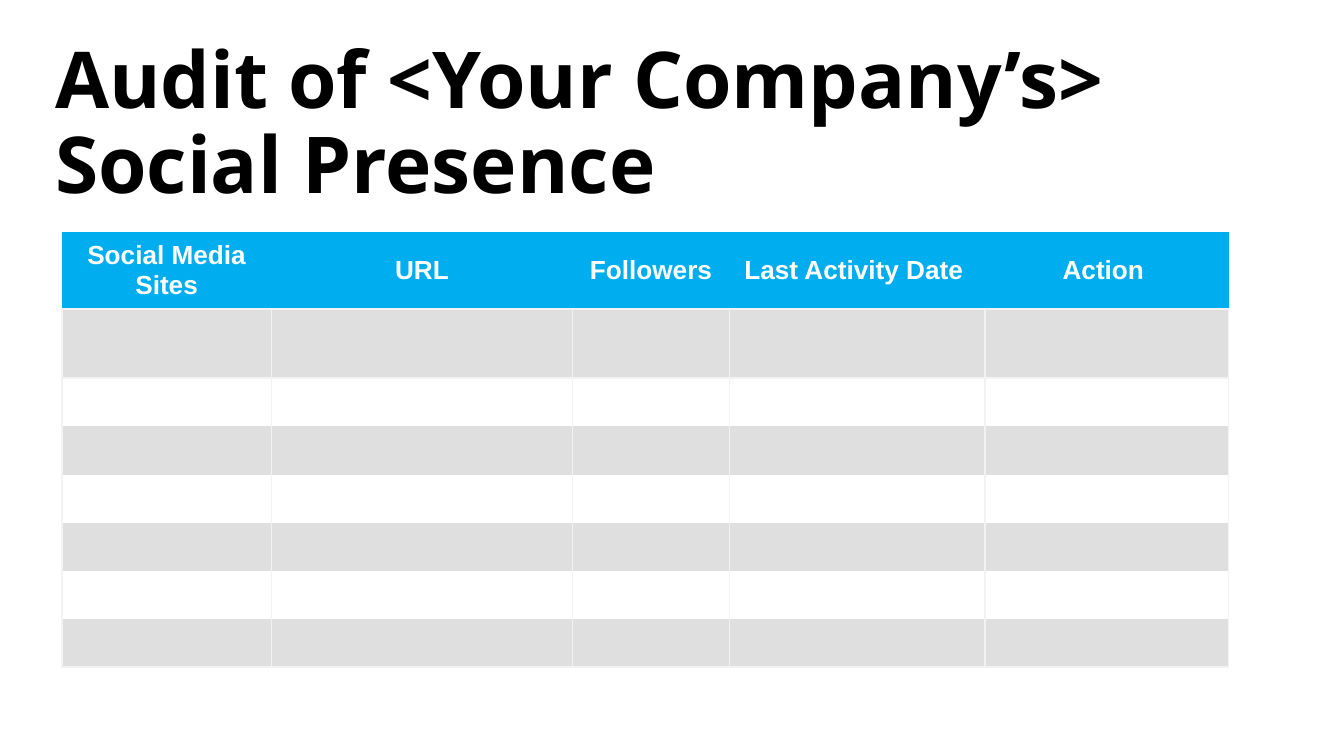
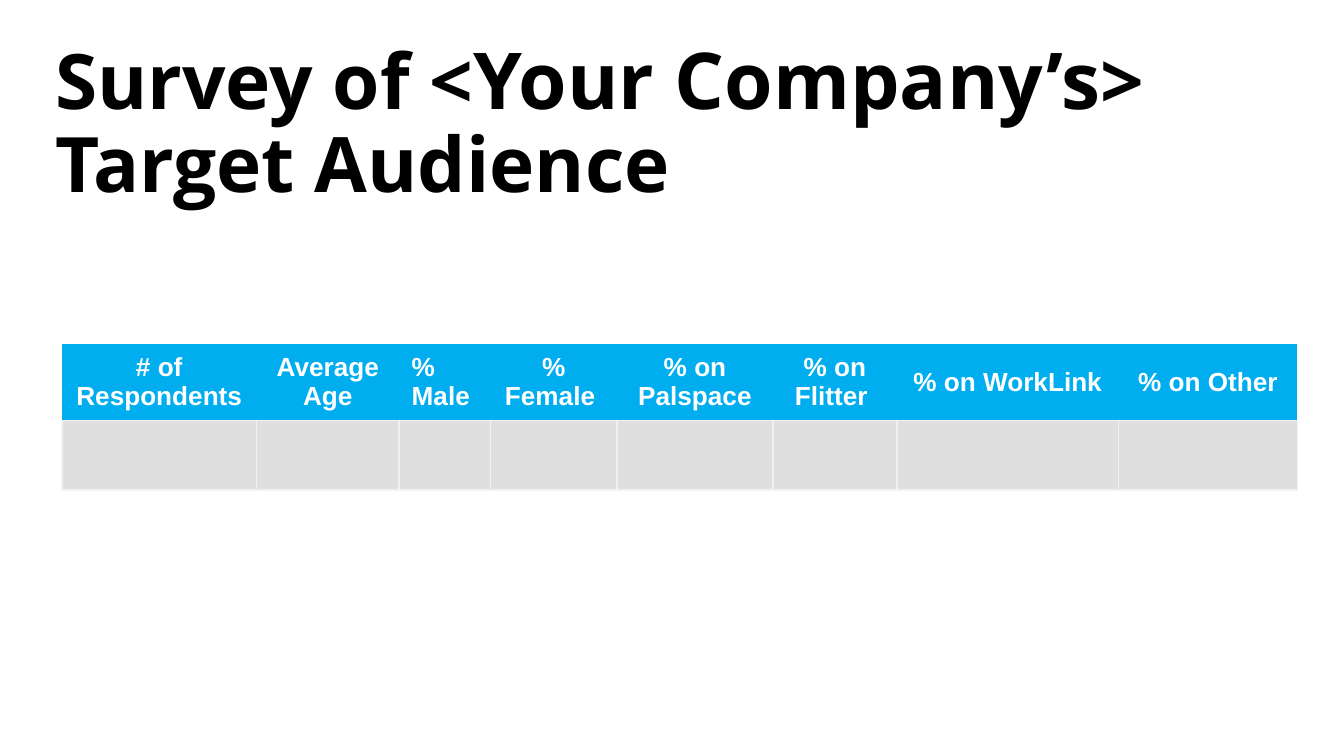
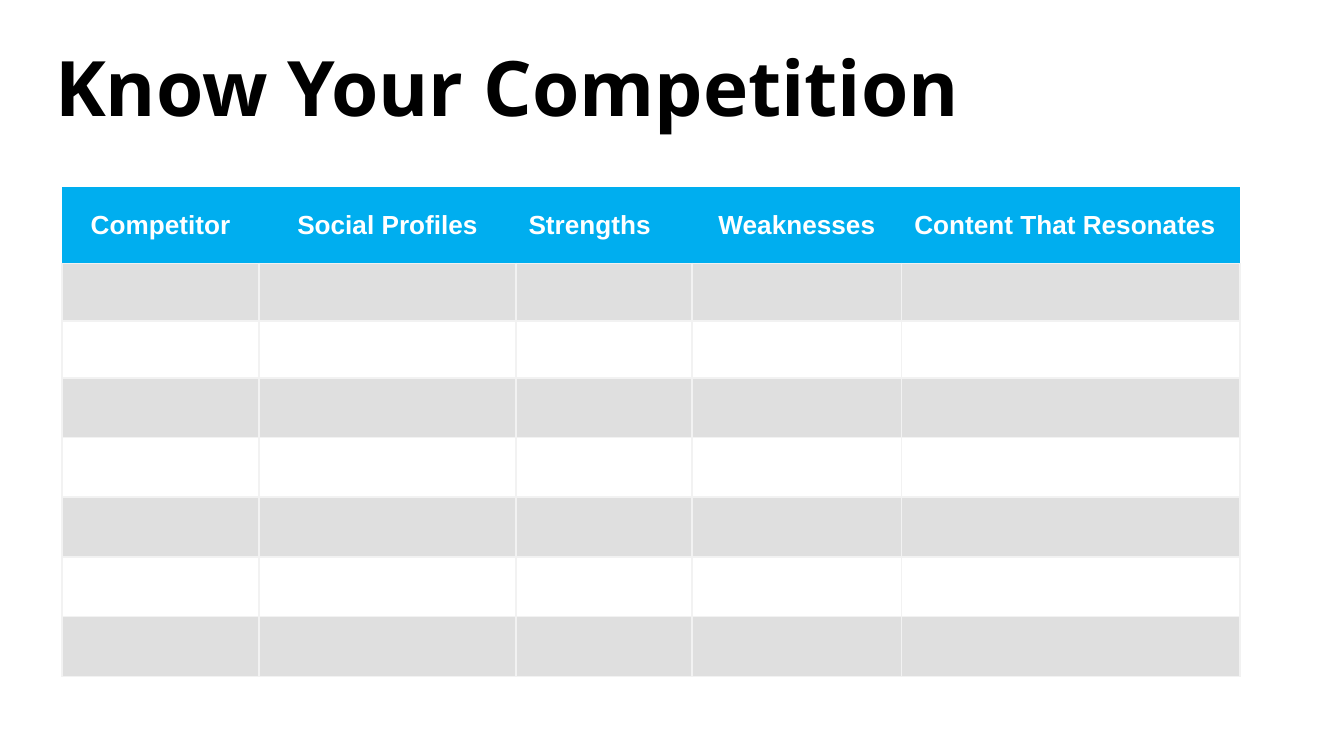
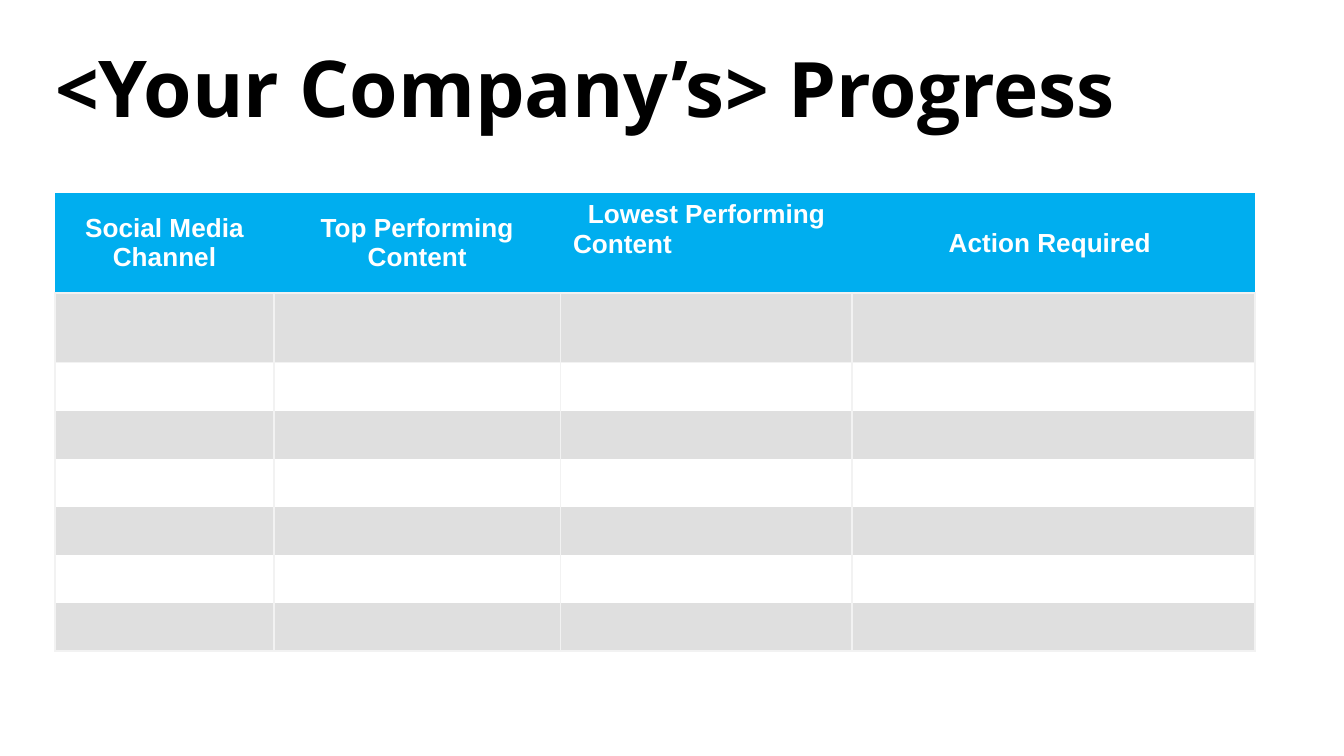
from dataclasses import dataclass

from lxml import etree
from pptx import Presentation
from pptx import util as u
from pptx.dml.color import RGBColor
from pptx.enum import text
from pptx.oxml import ns


@dataclass(frozen=True)
class Theme:
    header: RGBColor = RGBColor(0x00, 0xAE, 0xEF)
    band: RGBColor = RGBColor(0xDF, 0xDF, 0xDF)
    plain: RGBColor = RGBColor(0xFF, 0xFF, 0xFF)
    rule: RGBColor = RGBColor(0xF2, 0xF2, 0xF2)
    ink: RGBColor = RGBColor(0x00, 0x00, 0x00)
    title_font: str = "Open Sans"
    table_font: str = "Arial"
    title_size: int = 41
    emphasis_size: int = 42
    table_size: int = 14
    rule_width: int = 1
    table_style: str = "{2D5ABB26-0587-4C30-8999-92F81FD0307C}"  # no style, no grid


THEME = Theme()
LEFT, CENTER = text.PP_ALIGN.LEFT, text.PP_ALIGN.CENTER
TITLE_LEFT, TITLE_WIDTH, TITLE_HEIGHT = 1.04, 23.44, 1.65
TITLE_HIGH, TITLE_LOW = 0.91, 1.55
TABLE_LEFT = 1.17
HEADER_ROW, FIRST_ROW, BODY_ROW = 1.45, 1.31, 0.91


def add_span(para, words, font, size, color):
    span = para.add_run()
    span.text = words
    span.font.name = font
    span.font.size = u.Pt(size)
    span.font.bold = True
    span.font.color.rgb = color


def add_titled_page(deck, top, *spans):
    """Each span is a pair of words and type size."""
    page = deck.slides.add_slide(deck.slide_layouts[5])
    box = page.shapes.title
    box.left, box.top = u.Cm(TITLE_LEFT), u.Cm(top)
    box.width, box.height = u.Cm(TITLE_WIDTH), u.Cm(TITLE_HEIGHT)
    frame = box.text_frame
    frame.word_wrap = True
    frame.auto_size = text.MSO_AUTO_SIZE.NONE
    frame.vertical_anchor = text.MSO_ANCHOR.MIDDLE
    frame.margin_left = frame.margin_right = 0
    frame.margin_top = frame.margin_bottom = u.Cm(0.25)
    para = frame.paragraphs[0]
    para.alignment = LEFT
    para.line_spacing = 0.9
    for words, size in spans:
        add_span(para, words, THEME.title_font, size, THEME.ink)
    return page


def set_borders(cell, sides):
    """Draw the sides named by letters L, R, T and B, in that order."""
    properties = cell._tc.get_or_add_tcPr()
    for position, side in enumerate(sides):
        line = etree.Element(ns.qn(f"a:ln{side}"), w=str(u.Pt(THEME.rule_width)))
        fill = etree.SubElement(line, ns.qn("a:solidFill"))
        etree.SubElement(fill, ns.qn("a:srgbClr"), val=str(THEME.rule))
        properties.insert(position, line)


def fill_cell(cell, color):
    cell.fill.solid()
    cell.fill.fore_color.rgb = color
    cell.margin_left = cell.margin_right = u.Cm(0.24)
    cell.margin_top = cell.margin_bottom = u.Cm(0.13)


def format_header(cell, words, alignment):
    fill_cell(cell, THEME.header)
    set_borders(cell, "B")
    cell.vertical_anchor = text.MSO_ANCHOR.MIDDLE
    para = cell.text_frame.paragraphs[0]
    para.alignment = alignment
    add_span(para, words, THEME.table_font, THEME.table_size, THEME.plain)


def format_body(cell, number, sides):
    fill_cell(cell, THEME.band if number % 2 else THEME.plain)
    set_borders(cell, sides)
    # An empty cell takes its least height from the end mark of its paragraph.
    etree.SubElement(cell.text_frame.paragraphs[0]._p, ns.qn("a:endParaRPr"),
                     sz=str(THEME.table_size * 100))


def add_banded_table(page, left, top, columns, heights, ruled=False):
    """Each column is (heading, width) or (heading, width, alignment);
    ruled draws a line between all body rows."""
    widths = [column[1] for column in columns]
    table = page.shapes.add_table(len(heights), len(columns), u.Cm(left), u.Cm(top),
                                  u.Cm(sum(widths)), u.Cm(sum(heights))).table
    table._tbl.tblPr.find(ns.qn("a:tableStyleId")).text = THEME.table_style
    for row, height in zip(table.rows, heights):
        row.height = u.Cm(height)
    last = len(heights) - 1
    for index, (heading, width, *alignment) in enumerate(columns):
        table.columns[index].width = u.Cm(width)
        format_header(table.cell(0, index), heading, alignment[0] if alignment else CENTER)
        for number in range(1, last + 1):
            above = "T" if ruled or number == 1 else ""
            below = "B" if ruled or number == last else ""
            format_body(table.cell(number, index), number, "LR" + above + below)
    return table


def indent_heading(cell, distance):
    """Set a heading at the top of its cell with its first line moved in."""
    cell.vertical_anchor = text.MSO_ANCHOR.TOP
    properties = cell.text_frame.paragraphs[0]._p.get_or_add_pPr()
    properties.set("marL", "0")
    properties.set("indent", str(u.Cm(distance)))


def add_audit(deck):
    page = add_titled_page(deck, TITLE_LOW,
                           ("Audit of <Your Company’s> Social Presence", THEME.emphasis_size))
    columns = [("Social Media Sites", 3.96), ("URL", 5.69), ("Followers", 2.97),
               ("Last Activity Date ", 4.83), ("Action ", 4.6)]
    add_banded_table(page, TABLE_LEFT, 4.39, columns,
                     [HEADER_ROW, FIRST_ROW] + [BODY_ROW] * 6)


def add_survey(deck):
    page = add_titled_page(deck, TITLE_LOW, ("Survey of <", THEME.title_size),
                           ("Your Company’s", THEME.emphasis_size),
                           ("> Target Audience", THEME.title_size))
    columns = [("# of Respondents", 3.68), ("Average Age", 2.69), ("% Male", 1.73, LEFT),
               ("% Female ", 2.39), ("% on Palspace", 2.95), ("% on Flitter ", 2.34),
               ("% on WorkLink", 4.19), ("% on Other", 3.38)]
    add_banded_table(page, TABLE_LEFT, 6.5, columns, [HEADER_ROW, FIRST_ROW])


def add_competition(deck):
    page = add_titled_page(deck, TITLE_HIGH, ("Know Your Competition", THEME.title_size))
    columns = [("Competitor", 3.73), ("Social Profiles", 4.85), ("Strengths", 3.33, LEFT),
               ("Weaknesses", 3.96), ("Content That Resonates", 6.4, LEFT)]
    add_banded_table(page, TABLE_LEFT, 3.53, columns,
                     [HEADER_ROW, 1.09, 1.07] + [1.13] * 5, ruled=True)


def add_progress(deck):
    page = add_titled_page(deck, TITLE_HIGH, ("<", THEME.title_size),
                           ("Your Company’s", THEME.emphasis_size),
                           ("> Progress", THEME.title_size))
    columns = [("Social Media Channel", 4.14), ("Top Performing Content", 5.41),
               ("Lowest Performing Content", 5.51, LEFT), ("Action Required ", 7.62)]
    table = add_banded_table(page, TITLE_LEFT, 3.65, columns,
                             [1.89, FIRST_ROW] + [BODY_ROW] * 6)
    indent_heading(table.cell(0, 2), 0.28)


def main():
    deck = Presentation()
    deck.slide_width, deck.slide_height = u.Cm(25.4), u.Cm(14.29)
    for add_page in (add_audit, add_survey, add_competition, add_progress):
        add_page(deck)
    deck.save("out.pptx")


if __name__ == "__main__":
    main()
